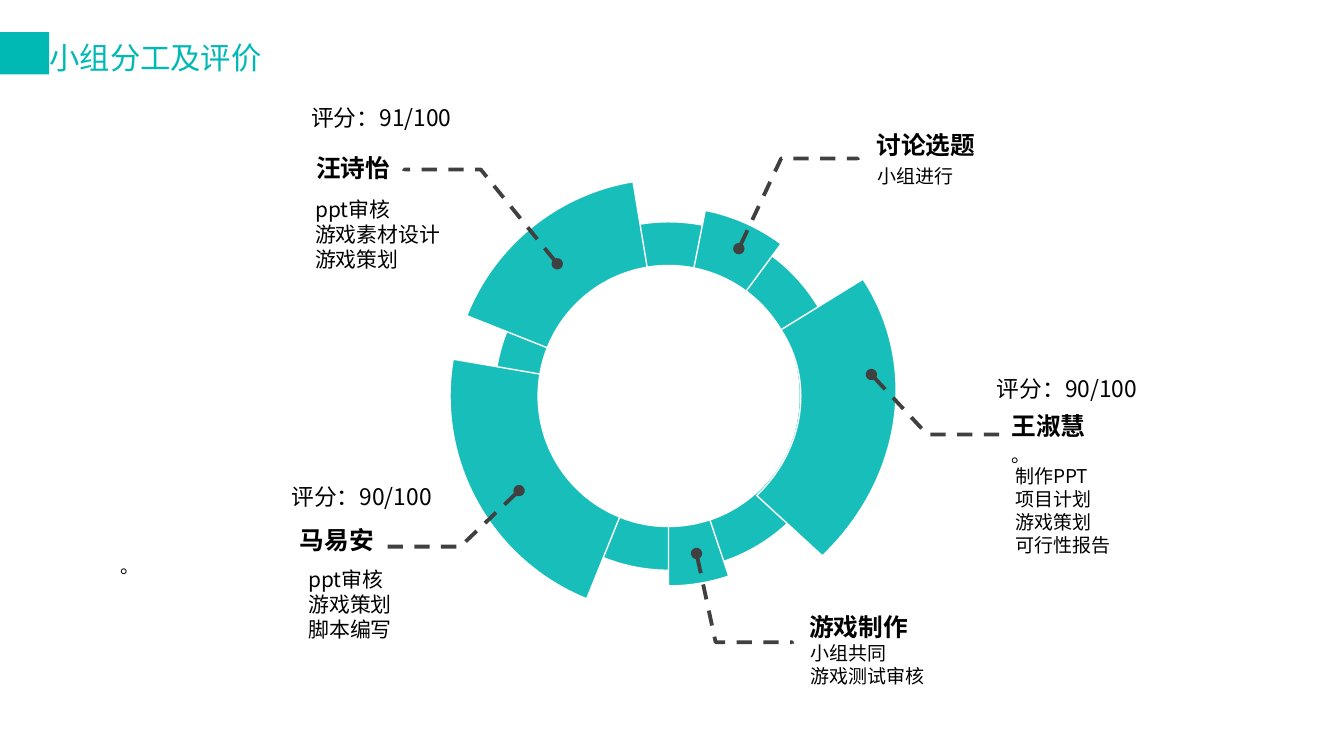
from dataclasses import dataclass
from itertools import pairwise
from math import cos, radians, sin, tan

from lxml.etree import SubElement
from pptx import Presentation
from pptx.dml.color import RGBColor
from pptx.enum.dml import MSO_LINE
from pptx.enum.shapes import MSO_SHAPE
from pptx.enum.text import MSO_ANCHOR, MSO_AUTO_SIZE, PP_ALIGN
from pptx.oxml.ns import qn
from pptx.shapes.base import BaseShape
from pptx.slide import Slide
from pptx.util import Inches, Pt

CELL = 0.1  # side of one grid cell, in inches
COLUMNS, ROWS = 98.4, 55.1

Point = tuple[float, float]  # column, row
Box = tuple[float, float, float, float]  # column, row, columns wide, rows high


@dataclass(frozen=True)
class Theme:
    font: str = "Noto Sans CJK SC"
    accent: RGBColor = RGBColor(0x00, 0xB8, 0xB4)
    wheel: RGBColor = RGBColor(0x18, 0xBE, 0xBA)
    leader: RGBColor = RGBColor(0x40, 0x40, 0x40)
    text: RGBColor = RGBColor(0, 0, 0)
    white: RGBColor = RGBColor(0xFF, 0xFF, 0xFF)
    title_size: float = 16
    heading_size: float = 13
    score_size: float = 12
    member_size: float = 11
    note_size: float = 10


@dataclass(frozen=True)
class Sector:
    start: float  # degrees, clockwise from the right
    end: float
    outer: float
    inner: float = 9.55
    centre: Point = (48.95, 28.98)
    flatness: float = 1  # height of the arc over its width
    rotation: float = 0


@dataclass(frozen=True)
class Label:
    box: Box
    lines: tuple[str, ...]
    size: float
    bold: bool = False
    align: PP_ALIGN = PP_ALIGN.LEFT
    wrap: bool = True


THEME = Theme()

TITLE = Label((-1.2, 2.35, 25.2, 4.7), ("小组分工及评价",), THEME.title_size,
              align=PP_ALIGN.CENTER)
ACCENT: Box = (-10.6, 2.35, 14.2, 3.1)

RING = Sector(0, 360, 12.75)
SECTORS = (
    Sector(71.5, 90, 13.9),
    Sector(-78.8, -53.5, 13.85),
    Sector(112, 189.7, 16),
    Sector(201.7, 260.6, 15.9),
)
WIDE_SECTOR = Sector(-9.2, 67.8, 17.63, 10.56, (49.77, 24.89), 0.91, 336.7)

# Each leader runs from its dot to its bend and on to the heading
LEADERS: tuple[tuple[Point, ...], ...] = (
    ((54.1, 18.2), (57.2, 11.6), (62.8, 11.6)),
    ((51, 40.5), (52.4, 47), (58, 47)),
    ((38, 35.9), (33.7, 40), (28.2, 40)),
    ((40.8, 19.3), (35.2, 12.4), (29.6, 12.4)),
    ((63.8, 27.4), (67.9, 31.8), (73.3, 31.8)),
)
HOOK = 0.1  # short turn at the end of a leader


def heading(column: float, row: float, text: str, align: PP_ALIGN = PP_ALIGN.LEFT,
            columns: float = 16) -> Label:
    return Label((column, row, columns, 3.2), (text,), THEME.heading_size, True, align)


def score(column: float, row: float, text: str) -> Label:
    return Label((column, row, 12.7, 3), (text,), THEME.score_size, wrap=False)


def note(column: float, row: float, text: str) -> Label:
    return Label((column, row, 20.6, 2.7), (text,), THEME.note_size)


LABELS = (
    heading(63.2, 9, "讨论选题", columns=12.7),
    note(63.3, 11.55, "小组进行"),
    heading(58.27, 44.3, "游戏制作", columns=12.7),
    heading(12.35, 37.9, "马易安", PP_ALIGN.RIGHT),
    note(7.85, 40.1, "。"),
    heading(13.55, 10.7, "汪诗怡", PP_ALIGN.RIGHT),
    heading(73.1, 29.6, "王淑慧"),
    note(73.1, 32, "。"),
    score(21.8, 7.1, "评分：91/100"),
    score(20.35, 34.8, "评分：90/100"),
    score(72, 26.9, "评分：90/100"),
)

TASK_LISTS = (
    Label((22.07, 13.9, 11.6, 6.6), ("ppt审核", "游戏素材设计", "游戏策划"),
          THEME.member_size, wrap=False),
    Label((21.57, 40.95, 8.2, 6.6), ("ppt审核", "游戏策划", "脚本编写"),
          THEME.member_size, wrap=False),
    Label((73.35, 33.5, 20.5, 7.7), ("制作PPT", "项目计划", "游戏策划", "可行性报告"),
          THEME.note_size),
    Label((58.35, 46.45, 21.5, 4.4), ("小组共同", "游戏测试审核"), THEME.note_size),
)


def emu(cells: float) -> int:
    return Inches(cells * CELL)


def write(shape: BaseShape, label: Label, color: RGBColor = THEME.text) -> None:
    """Fill a text box or placeholder with plain, unbulleted lines."""
    shape.left, shape.top, shape.width, shape.height = map(emu, label.box)
    frame = shape.text_frame
    frame.word_wrap = label.wrap
    frame.auto_size = MSO_AUTO_SIZE.NONE
    frame.vertical_anchor = MSO_ANCHOR.TOP
    for index, line in enumerate(label.lines):
        paragraph = frame.add_paragraph() if index else frame.paragraphs[0]
        properties = paragraph._p.get_or_add_pPr()
        properties.set("marL", "0")
        properties.set("indent", "0")
        SubElement(properties, qn("a:buNone"))
        paragraph.alignment = label.align
        paragraph.space_before = Pt(0)
        run = paragraph.add_run()
        run.text = line
        run.font.size = Pt(label.size)
        run.font.bold = label.bold
        run.font.color.rgb = color
        run.font.name = THEME.font
        SubElement(run._r.get_or_add_rPr(), qn("a:ea"), typeface=THEME.font)


def arc(sector: Sector, radius: float) -> list[tuple[int, int]]:
    """Bezier points of an arc, split where it crosses an axis."""
    def place(x: float, y: float) -> tuple[int, int]:
        column, row = sector.centre
        return emu(column + radius * x), emu(row + radius * y * sector.flatness)

    splits = [a for a in range(-360, 361, 90) if sector.start < a < sector.end]
    angles = [radians(a) for a in (sector.start, *splits, sector.end)]
    points = [place(cos(angles[0]), sin(angles[0]))]
    for a, b in pairwise(angles):
        pull = 4 / 3 * tan((b - a) / 4)
        points += [place(cos(a) - pull * sin(a), sin(a) + pull * cos(a)),
                   place(cos(b) + pull * sin(b), sin(b) - pull * cos(b)),
                   place(cos(b), sin(b))]
    return points


def draw_sector(slide: Slide, sector: Sector) -> None:
    outer = arc(sector, sector.outer)
    inner = arc(sector, sector.inner)[::-1]
    full = sector.end - sector.start == 360
    builder = slide.shapes.build_freeform(*outer[0])
    if full:
        builder.add_line_segments(outer[1:], close=True)
        builder.move_to(*inner[0])
        builder.add_line_segments(inner[1:], close=True)
    else:
        builder.add_line_segments(outer[1:] + inner, close=True)
    shape = builder.convert_to_shape()

    # Turn each three arc points into one curve; the side stays straight
    steps = list(shape._element.iter(qn("a:lnTo")))
    if not full:
        del steps[len(outer) - 1]
    for first, second, third in zip(steps[::3], steps[1::3], steps[2::3]):
        first.tag = qn("a:cubicBezTo")
        for step in (second, third):
            first.append(step[0])
            step.getparent().remove(step)

    shape.rotation = sector.rotation
    shape.shadow.inherit = False
    shape.fill.solid()
    shape.fill.fore_color.rgb = THEME.wheel
    shape.line.color.rgb = THEME.white
    shape.line.width = Pt(0.75)


def draw_leader(slide: Slide, points: tuple[Point, ...]) -> None:
    column, row = points[-1]
    dot, *rest = [(emu(x), emu(y)) for x, y in (*points, (column, row + HOOK))]
    builder = slide.shapes.build_freeform(*dot)
    builder.add_line_segments(rest, close=False)
    shape = builder.convert_to_shape()
    shape.shadow.inherit = False
    shape.fill.background()
    shape.line.color.rgb = THEME.leader
    shape.line.width = Pt(2)
    shape.line.dash_style = MSO_LINE.DASH
    SubElement(shape.line._get_or_add_ln(), qn("a:headEnd"), type="oval")


def main() -> None:
    deck = Presentation()
    deck.slide_width, deck.slide_height = emu(COLUMNS), emu(ROWS)
    # The comparison layout holds a title and four bodies
    slide = deck.slides.add_slide(deck.slide_layouts[4])

    # Title and its accent block
    title = slide.shapes.title
    write(title, TITLE, THEME.accent)
    frame = title.text_frame
    frame.margin_left = frame.margin_right = frame.margin_top = frame.margin_bottom = 0
    frame.paragraphs[0].line_spacing = 1.2
    accent = slide.shapes.add_shape(MSO_SHAPE.RECTANGLE, *map(emu, ACCENT))
    accent.shadow.inherit = False
    accent.fill.solid()
    accent.fill.fore_color.rgb = THEME.accent
    accent.line.fill.background()

    # Wheel of tasks
    for sector in (RING, *SECTORS, WIDE_SECTOR):
        draw_sector(slide, sector)
    for leader in LEADERS:
        draw_leader(slide, leader)

    # Task lists, names and scores
    bodies = [holder for holder in slide.placeholders if holder.placeholder_format.idx]
    for body, tasks in zip(bodies, TASK_LISTS):
        write(body, tasks)
    for label in LABELS:
        write(slide.shapes.add_textbox(*map(emu, label.box)), label)

    deck.save("out.pptx")


if __name__ == "__main__":
    main()
